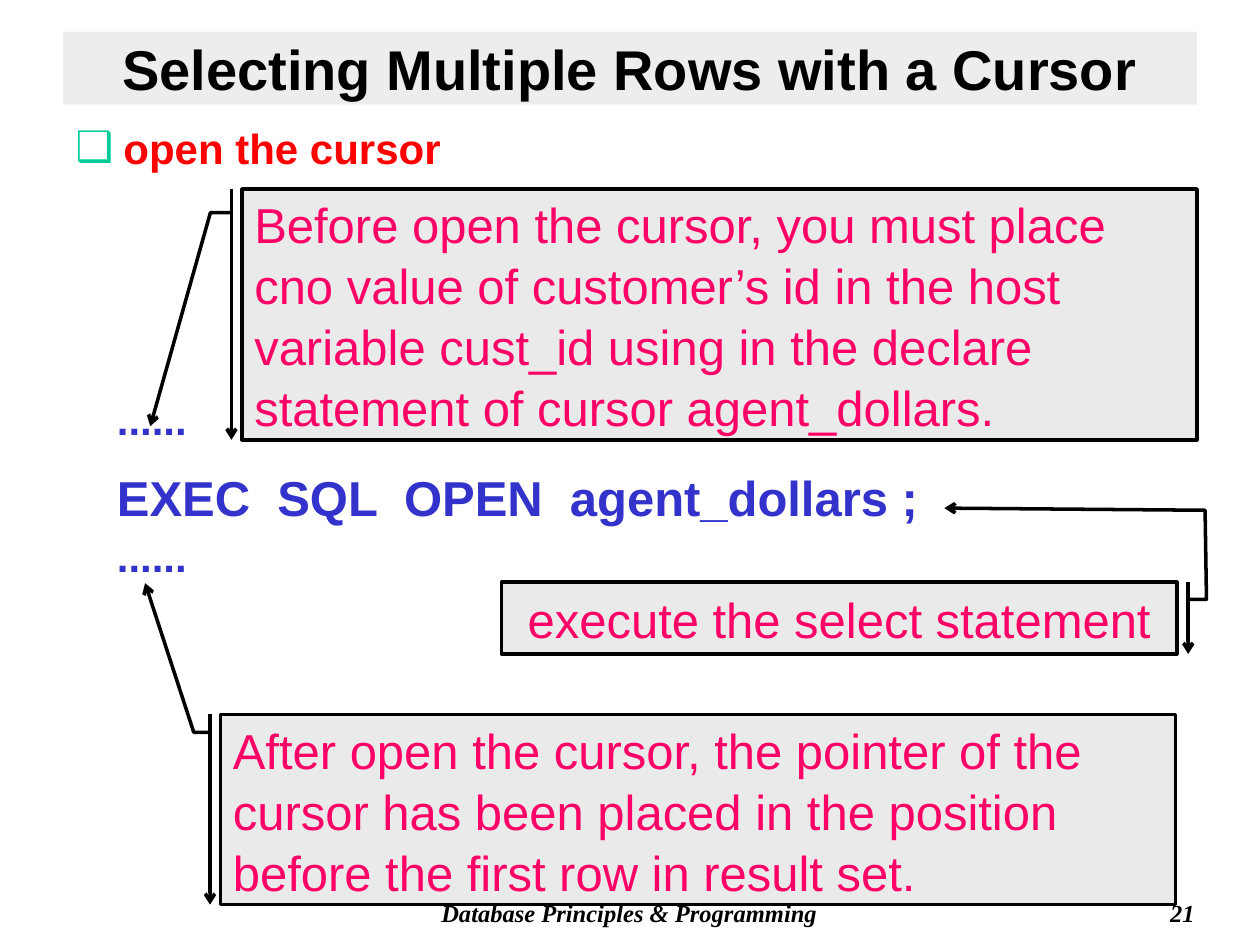
from dataclasses import dataclass

from lxml.etree import SubElement
from pptx import Presentation
from pptx.dml.color import RGBColor as RGB
from pptx.enum.shapes import MSO_SHAPE as Preset
from pptx.enum.text import MSO_ANCHOR as Anchor, PP_ALIGN as Align
from pptx.oxml.ns import qn
from pptx.util import Inches, Pt


@dataclass(frozen=True)
class Theme:
    ink: str = "000000"
    band: str = "DDDDDD"
    topic: str = "FF0000"
    bullet: str = "00CC99"
    code: str = "3333CC"
    note: str = "FF0066"
    note_fill: str = "EAEAEA"
    title_size: int = 32
    large_size: int = 28
    topic_size: int = 24
    footer_size: int = 14
    sans: str = "Arial"
    serif: str = "Times New Roman"


theme = Theme()


def style(paragraph, size, color, font=theme.sans, bold=False, italic=False, align=Align.LEFT):
    paragraph.alignment = align
    for run in paragraph.runs:
        run.font.name = font
        run.font.size = Pt(size)
        run.font.bold = bold
        run.font.italic = italic
        run.font.color.rgb = RGB.from_string(color)


def place(shape, left, top, width, height):
    shape.left, shape.top = Inches(left), Inches(top)
    shape.width, shape.height = Inches(width), Inches(height)


deck = Presentation()
deck.slide_width, deck.slide_height = Inches(10), Inches(7.5)
slide = deck.slides.add_slide(deck.slide_layouts[1])

title = slide.shapes.title
place(title, 0.5, 0.25, 9, 0.58)
title.fill.solid()
title.fill.fore_color.rgb = RGB.from_string(theme.band)
band_color = title.fill._xPr.find(qn("a:solidFill"))[0]
SubElement(band_color, qn("a:alpha"), val="50000")
title.text_frame.text = "Selecting Multiple Rows with a Cursor"
title.text_frame.vertical_anchor = Anchor.MIDDLE
style(title.text_frame.paragraphs[0], theme.title_size, theme.ink, bold=True, align=Align.CENTER)

body = slide.placeholders[1]
place(body, 0.5, 0.92, 9, 5.75)
body.text_frame.text = "open the cursor"
topic = body.text_frame.paragraphs[0]
style(topic, theme.topic_size, theme.topic, bold=True)
topic.space_before = Pt(5)
bullet = topic._p.get_or_add_pPr()
bullet.set("marL", str(Inches(0.38)))
bullet.set("indent", str(-Inches(0.38)))
SubElement(SubElement(bullet, qn("a:buClr")), qn("a:srgbClr"), val=theme.bullet)
SubElement(bullet, qn("a:buChar"), char="❑")

footers = [
    ("Database Principles & Programming", 2.83, 4.33, Align.CENTER),
    ("21", 7.5, 2.08, Align.RIGHT),
]
for wording, left, width, align in footers:
    footer = slide.shapes.add_textbox(Inches(left), Inches(7.08), Inches(width), Inches(0.33))
    footer.text_frame.word_wrap = True
    footer.text_frame.text = wording
    style(footer.text_frame.paragraphs[0], theme.footer_size, theme.ink, theme.serif, True, True, align)

code = slide.shapes.add_textbox(Inches(0.83), Inches(3.12), Inches(8.33), Inches(1.54))
code.text_frame.word_wrap = True
statements = [
    ("......", theme.topic_size, 2.4),
    ("EXEC  SQL  OPEN  agent_dollars ;", theme.large_size, 17),
    ("......", theme.topic_size, 5),
]
code.text_frame.text = "\n".join(wording for wording, size, gap in statements)
for statement, (wording, size, gap) in zip(code.text_frame.paragraphs, statements):
    style(statement, size, theme.code, bold=True)
    statement.line_spacing = 0.9
    statement.space_before = Pt(gap)

two_part = Preset.LINE_CALLOUT_2_BORDER_AND_ACCENT_BAR
three_part = Preset.LINE_CALLOUT_3_BORDER_AND_ACCENT_BAR
notes = [
    ("execute the select statement", three_part, (3.98, 4.62, 5.36, 0.57), Align.CENTER,
     (0.24, 1.017, 0.24, 1.044, -1, 1.042, -1.03, 0.656)),
    ("After open the cursor, the pointer of the cursor has been placed in the position "
     "before the first row in result set.", two_part, (1.75, 5.67, 7.58, 1.51), Align.LEFT,
     (0.094, -0.011, 0.094, -0.028, -0.69, -0.079)),
    ("Before open the cursor, you must place cno value of customer’s id in the host "
     "variable cust_id using in the declare statement of cursor agent_dollars.",
     two_part, (1.92, 1.5, 7.58, 1.99), Align.LEFT,
     (0.094, -0.011, 0.094, -0.033, 0.946, -0.096)),
]
for wording, preset, frame, align, leader in notes:
    note = slide.shapes.add_shape(preset, *map(Inches, frame))
    for index, value in enumerate(leader):
        note.adjustments[index] = value
    note.shadow.inherit = False
    note.fill.solid()
    note.fill.fore_color.rgb = RGB.from_string(theme.note_fill)
    note.line.color.rgb = RGB.from_string(theme.ink)
    note.line.width = Pt(2)
    SubElement(note.line._get_or_add_ln(), qn("a:tailEnd"), type="arrow")
    note.text_frame.word_wrap = True
    note.text_frame.vertical_anchor = Anchor.MIDDLE
    note.text_frame.text = wording
    explanation = note.text_frame.paragraphs[0]
    style(explanation, theme.large_size, theme.note, align=align)
    explanation.line_spacing = 1.04

deck.save("out.pptx")
